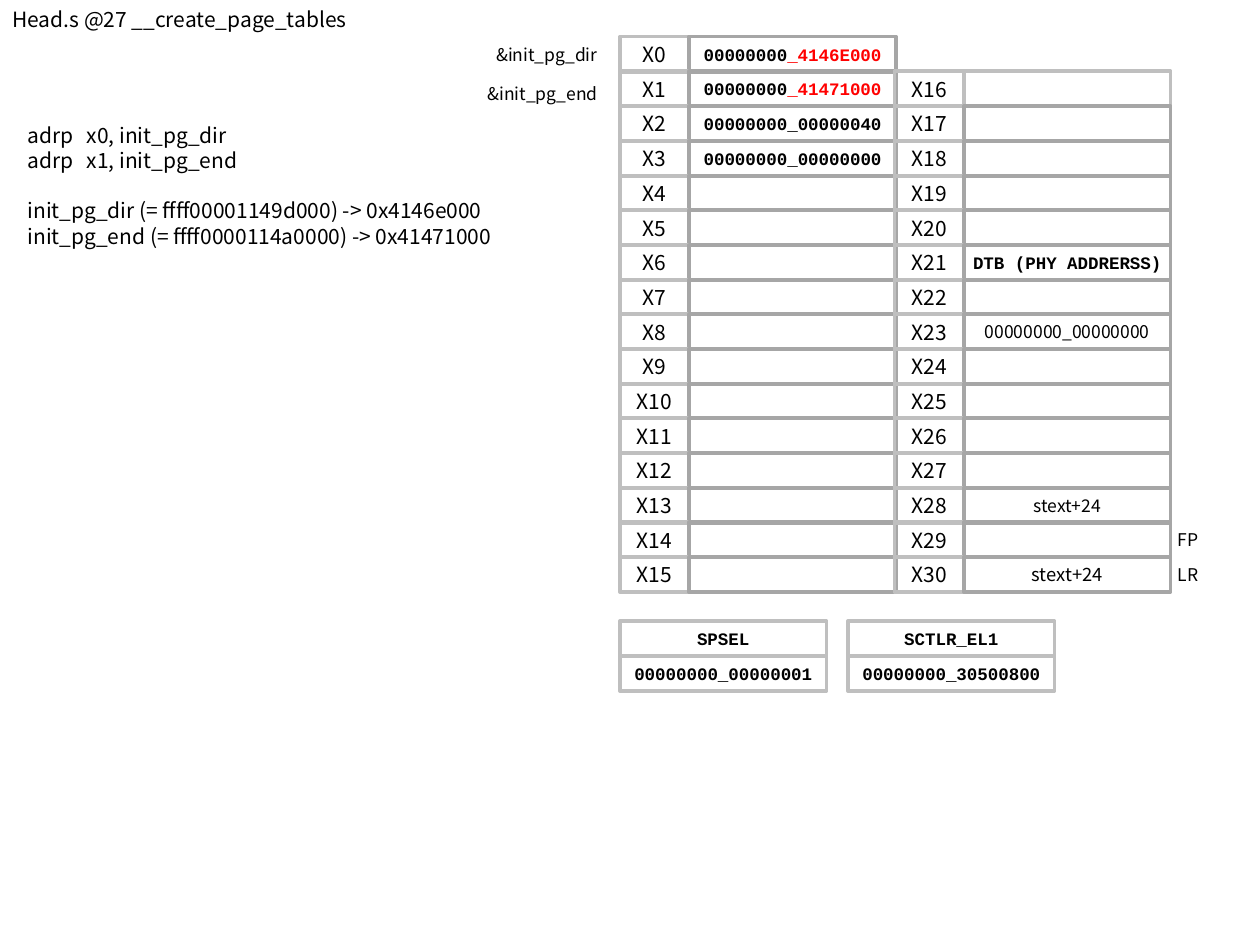
from lxml import etree
from pptx import Presentation
from pptx.dml.color import RGBColor
from pptx.enum.shapes import MSO_SHAPE
from pptx.enum.text import MSO_ANCHOR, PP_ALIGN
from pptx.oxml.ns import qn
from pptx.util import Inches, Pt

RECT = MSO_SHAPE.RECTANGLE
TOP, MIDDLE = MSO_ANCHOR.TOP, MSO_ANCHOR.MIDDLE
LEFT, CENTER, RIGHT = PP_ALIGN.LEFT, PP_ALIGN.CENTER, PP_ALIGN.RIGHT

COLORS = {"text": "000000", "changed": "FF0000", "name": "BFBFBF", "value": "A6A6A6"}
SANS, MONO = "Noto Sans CJK KR", "Courier New"

# Register grid
GRID_X, GRID_Y = 4.92, 0.29
NAME_W, VALUE_W = 0.55, 1.64
ROW_H = 0.28
PITCH = 4.13 / 15
COLUMN_STEP = 2.18

prs = Presentation()
prs.slide_width, prs.slide_height = Inches(10), Inches(7.5)
s = prs.slides.add_slide(prs.slide_layouts[6])


def write(sp, *lines, size=12, font=SANS, bold=False, align=LEFT, anchor=MIDDLE, inset=0.1):
    """Write lines; each line is a list of (text, colour name) runs or a plain string."""
    tf = sp.text_frame
    tf.word_wrap = True
    tf.vertical_anchor = anchor
    tf.margin_left = tf.margin_right = Inches(inset)
    for i, line in enumerate(lines):
        p = tf.paragraphs[0] if i == 0 else tf.add_paragraph()
        p.alignment = align
        for text, color in [(line, "text")] if isinstance(line, str) else line:
            r = p.add_run()
            r.text = text
            r.font.size, r.font.name, r.font.bold = Pt(size), font, bold
            r.font.color.rgb = RGBColor.from_string(COLORS[color])
    return tf


def add_cell(group, x, y, w, line):
    sp = group.shapes.add_shape(RECT, Inches(x), Inches(y), Inches(w), Inches(ROW_H))
    sp.shadow.inherit = False
    sp.fill.background()
    sp.line.color.rgb = RGBColor.from_string(COLORS[line])
    sp.line.width = Pt(2)
    return sp


# Title
title = s.shapes.add_textbox(Inches(0), Inches(0), Inches(4.13), Inches(0.3))
write(title, "Head.s @27 __create_page_tables", anchor=TOP)

# Code and resolved addresses
code = s.shapes.add_textbox(Inches(0.12), Inches(0.92), Inches(4.57), Inches(3.53))
tf = write(code, "adrp\tx0, init_pg_dir", "adrp\tx1, init_pg_end",
           "init_pg_dir (= ffff00001149d000) -> 0x4146e000",
           "init_pg_end (= ffff0000114a0000) -> 0x41471000", anchor=TOP)
tf.paragraphs[2].space_before = Pt(14.5)
for p in tf.paragraphs[:2]:
    tabs = etree.SubElement(p._p.get_or_add_pPr(), qn("a:tabLst"))
    etree.SubElement(tabs, qn("a:tab"), pos=str(Inches(0.47)), algn="l")

# Register values by number
mono = {"size": 10, "font": MONO, "bold": True}
values = {
    0: ([("00000000", "text"), ("_4146E000", "changed")], mono),
    1: ([("00000000", "text"), ("_41471000", "changed")], mono),
    2: ("00000000_00000040", mono),
    3: ("00000000_00000000", mono),
    21: ("DTB (PHY ADDRERSS)", mono),
    23: ("00000000_00000000", {"size": 10}),
    28: ("stext+24", {"size": 10}),
    30: ("stext+24", {"size": 10.5}),
}

# Registers: X0 to X15 on the left, X16 to X30 on the right from the second row
registers = s.shapes.add_group_shape()
for n in range(31):
    column, row = (0, n) if n < 16 else (1, n - 15)
    x, y = GRID_X + column * COLUMN_STEP, GRID_Y + row * PITCH
    write(add_cell(registers, x, y, NAME_W, "name"), f"X{n}", align=CENTER)
    sp = add_cell(registers, x + NAME_W, y, VALUE_W, "name" if n == 16 else "value")
    if n in values:
        text, style = values[n]
        write(sp, text, align=CENTER, inset=0.04, **style)

# Frame pointer and link register
for row, label in ((14, "FP"), (15, "LR")):
    sp = registers.shapes.add_textbox(Inches(9.25), Inches(GRID_Y + row * PITCH),
                                      Inches(NAME_W), Inches(ROW_H))
    write(sp, label, size=10)

# System registers
for x, name, value in ((GRID_X, "SPSEL", "00000000_00000001"),
                       (6.73, "SCTLR_EL1", "00000000_30500800")):
    group = s.shapes.add_group_shape()
    for row, text in enumerate((name, value)):
        sp = add_cell(group, x, 4.93 + row * PITCH, VALUE_W, "name")
        write(sp, text, align=CENTER, inset=0.04, **mono)

# Symbols beside X0 and X1
for y, label in ((0.29, "&init_pg_dir"), (0.6, "&init_pg_end")):
    sp = s.shapes.add_textbox(Inches(3.66), Inches(y), Inches(1.18), Inches(ROW_H))
    write(sp, label, size=10, align=RIGHT)

prs.save("out.pptx")
